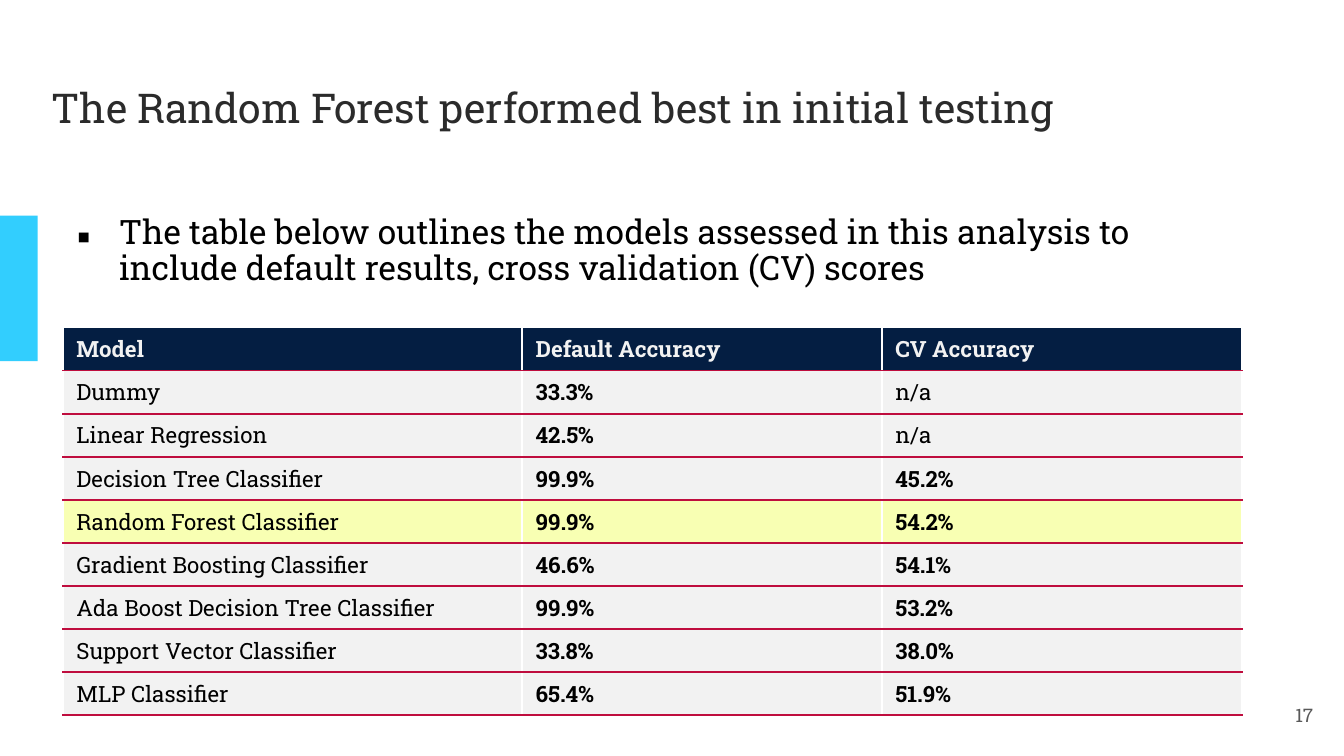
from lxml.etree import SubElement
from pptx import Presentation
from pptx.dml.color import RGBColor
from pptx.enum.shapes import MSO_SHAPE
from pptx.enum.text import MSO_ANCHOR, MSO_AUTO_SIZE, PP_ALIGN
from pptx.oxml.ns import qn
from pptx.util import Pt

EMU_PER_PX = 9525
FONT = "Roboto Slab"

WHITE = RGBColor(0xFF, 0xFF, 0xFF)
BLACK = RGBColor(0x00, 0x00, 0x00)
CHARCOAL = RGBColor(0x2B, 0x2B, 0x2B)
GRAY = RGBColor(0x59, 0x59, 0x59)
LIGHT = RGBColor(0xF2, 0xF2, 0xF2)
CYAN = RGBColor(0x32, 0xCE, 0xFE)
NAVY = RGBColor(0x04, 0x1E, 0x42)
RED = RGBColor(0xBF, 0x0D, 0x3E)
YELLOW = RGBColor(0xF8, 0xFF, 0xB3)

COL_WIDTHS = (328, 257, 257)
ROW_HEIGHT = 29
BEST_MODEL = "Random Forest Classifier"
RESULTS = (
    ("Model", "Default Accuracy", "CV Accuracy"),
    ("Dummy", "33.3%", "n/a"),
    ("Linear Regression", "42.5%", "n/a"),
    ("Decision Tree Classifier", "99.9%", "45.2%"),
    (BEST_MODEL, "99.9%", "54.2%"),
    ("Gradient Boosting Classifier", "46.6%", "54.1%"),
    ("Ada Boost Decision Tree Classifier", "99.9%", "53.2%"),
    ("Support Vector Classifier", "33.8%", "38.0%"),
    ("MLP Classifier", "65.4%", "51.9%"),
)


def px(n):
    return n * EMU_PER_PX


def set_attrs(obj, values):
    for name, value in values.items():
        setattr(obj, name, value)


def place(sp, left, top, width, height):
    set_attrs(sp, {"left": px(left), "top": px(top),
                   "width": px(width), "height": px(height)})


def write(p, text, size, color, bold=False):
    r = p.add_run()
    r.text = text
    set_attrs(r.font, {"name": FONT, "size": Pt(size), "bold": bold})
    r.font.color.rgb = color


def format_frame(tf, anchor, top=10):
    set_attrs(tf, {"word_wrap": True, "auto_size": MSO_AUTO_SIZE.NONE,
                   "vertical_anchor": anchor, "margin_left": px(10),
                   "margin_right": px(10), "margin_top": px(top),
                   "margin_bottom": px(10)})
    return tf.paragraphs[0]


def add_bullet(p, char, color, indent):
    pPr = p._p.get_or_add_pPr()
    pPr.set("marL", str(px(indent)))
    pPr.set("indent", str(px(-indent)))
    clr = SubElement(pPr, qn("a:buClr"))
    SubElement(clr, qn("a:srgbClr"), val=str(color))
    SubElement(pPr, qn("a:buFont"), typeface="Noto Sans Symbols")
    SubElement(pPr, qn("a:buChar"), char=char)


def add_title(s, text):
    sp = s.shapes.title
    place(sp, 27, 0, 933, 104)
    p = format_frame(sp.text_frame, MSO_ANCHOR.BOTTOM)
    p.alignment = PP_ALIGN.LEFT
    write(p, text, 22, CHARCOAL)


def add_body(s, text):
    sp = s.placeholders[1]
    place(sp, 45, 154, 843, 81)
    p = format_frame(sp.text_frame, MSO_ANCHOR.TOP, top=0)
    add_bullet(p, "▪", BLACK, 30)
    set_attrs(p, {"line_spacing": 0.9, "space_before": Pt(0)})
    write(p, text, 18, BLACK)


def add_page_number(s, text):
    sp = s.shapes.add_textbox(px(890), px(490), px(58), px(41))
    p = format_frame(sp.text_frame, MSO_ANCHOR.MIDDLE)
    p.alignment = PP_ALIGN.RIGHT
    write(p, text, 10, GRAY)


def add_accent_bar(s):
    sp = s.shapes.add_shape(MSO_SHAPE.RECTANGLE, 0, px(154), px(27), px(104))
    sp.shadow.inherit = False
    sp.fill.solid()
    sp.fill.fore_color.rgb = CYAN
    sp.line.fill.background()


def set_borders(cell, colors):
    tcPr = cell._tc.get_or_add_tcPr()
    for side, color in colors.items():
        ln = SubElement(tcPr, qn(f"a:ln{side}"), w=str(Pt(1)))
        fill = SubElement(ln, qn("a:solidFill"))
        SubElement(fill, qn("a:srgbClr"), val=str(color))


def add_results_table(s):
    table = s.shapes.add_table(
        len(RESULTS), len(COL_WIDTHS), px(45), px(234),
        px(sum(COL_WIDTHS)), px(ROW_HEIGHT * len(RESULTS))).table
    for column, width in zip(table.columns, COL_WIDTHS):
        column.width = px(width)
    for i, values in enumerate(RESULTS):
        table.rows[i].height = px(ROW_HEIGHT)
        header = i == 0
        if header:
            fill = NAVY
        else:
            fill = YELLOW if values[0] == BEST_MODEL else LIGHT
        for j, text in enumerate(values):
            cell = table.cell(i, j)
            # Borders come before the fill in the cell properties
            set_borders(cell, {"L": WHITE, "R": WHITE,
                               "T": WHITE if header else RED, "B": RED})
            cell.fill.solid()
            cell.fill.fore_color.rgb = fill
            write(cell.text_frame.paragraphs[0], text, 12,
                  LIGHT if header else BLACK,
                  bold=header or text.endswith("%"))


def main():
    prs = Presentation()
    set_attrs(prs, {"slide_width": px(960), "slide_height": px(540)})
    s = prs.slides.add_slide(prs.slide_layouts[1])

    # Heading and introduction
    add_title(s, "The Random Forest performed best in initial testing")
    add_body(s, "The table below outlines the models assessed in this analysis "
                "to include default results, cross validation (CV) scores")

    # Page furniture
    add_page_number(s, "17")
    add_accent_bar(s)

    # Model scores
    add_results_table(s)
    prs.save("out.pptx")


if __name__ == "__main__":
    main()
